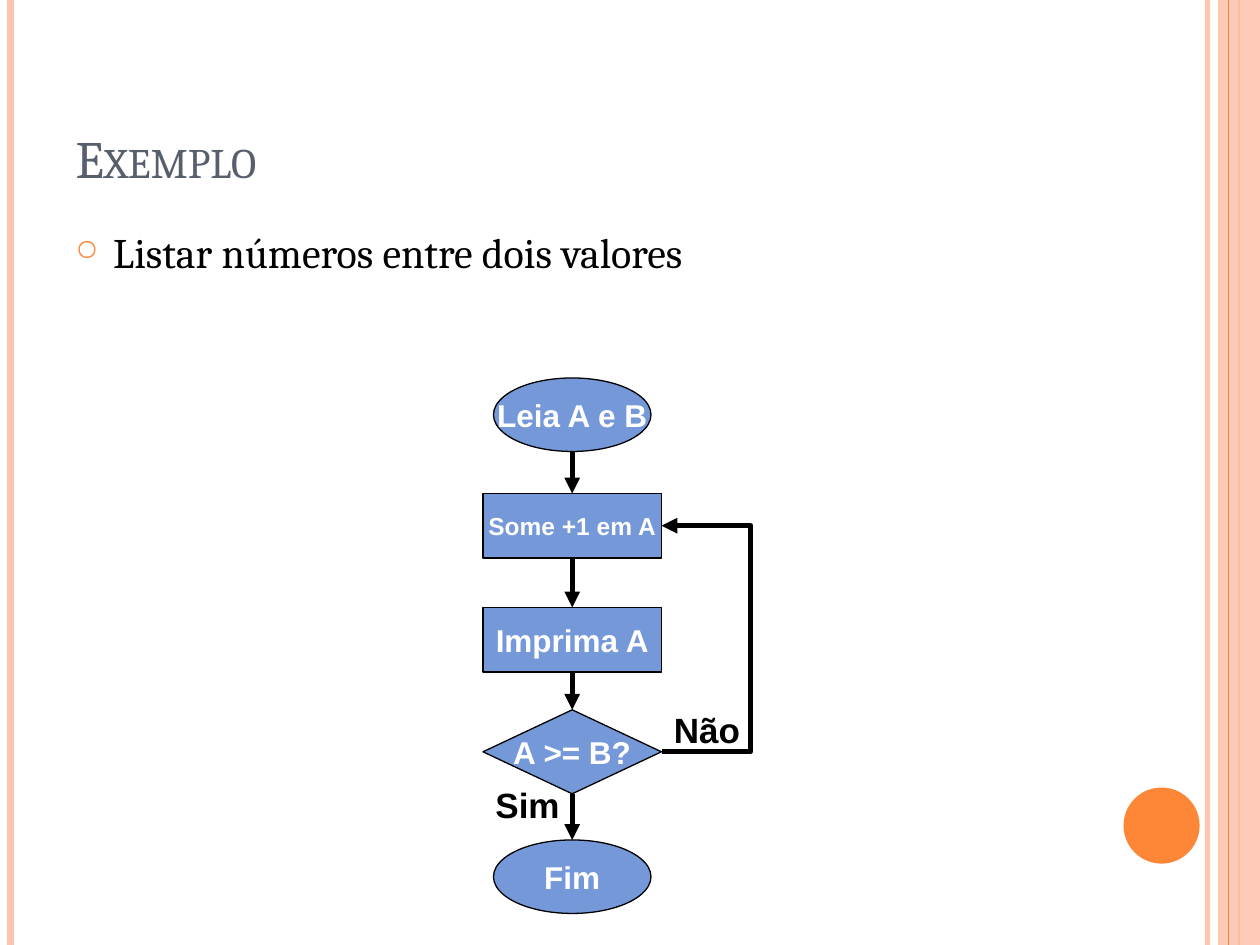
"""Build a slide with a flowchart that lists the numbers between two values."""
from itertools import pairwise

from lxml.etree import SubElement
from pptx import Presentation
from pptx.dml.color import RGBColor
from pptx.enum.shapes import MSO_CONNECTOR, MSO_SHAPE
from pptx.enum.text import MSO_ANCHOR, MSO_AUTO_SIZE, PP_ALIGN
from pptx.oxml.ns import qn
from pptx.util import Inches, Pt

BLACK = RGBColor(0x00, 0x00, 0x00)
WHITE = RGBColor(0xFF, 0xFF, 0xFF)
BLUE = RGBColor(0x75, 0x98, 0xD9)
ORANGE = RGBColor(0xFE, 0x86, 0x37)
PEACH = RGBColor(0xFE, 0xC3, 0xAE)
SLATE = RGBColor(0x57, 0x5F, 0x6D)

COLUMNS, ROWS = 120, 90
CELL = Inches(10) // COLUMNS
CENTER = 54.5


def cells(*counts):
    """Turn counts of grid cells into lengths."""
    return [round(count * CELL) for count in counts]


def set_opacity(fill_owner, percent):
    """Make the solid colour inside a shape or line element translucent."""
    color = fill_owner.find(qn("a:solidFill")).find(qn("a:srgbClr"))
    SubElement(color, qn("a:alpha"), val=str(percent * 1000))


def format_run(paragraph, font_name, size, color, bold=False):
    """Format the single run of a paragraph and return its font."""
    font = paragraph.runs[0].font
    font.name, font.size, font.bold = font_name, Pt(size), bold
    font.color.rgb = color
    return font


def add_line(slide, begin, end, color, width):
    """Draw a straight line between two grid points."""
    line = slide.shapes.add_connector(MSO_CONNECTOR.STRAIGHT, *cells(*begin, *end))
    line.line.color.rgb = color
    line.line.width = Pt(width)
    SubElement(line._element.spPr, qn("a:effectLst"))
    return line


def add_arrowhead(shape):
    """Put a triangle at the end of a line."""
    SubElement(shape.line._get_or_add_ln(), qn("a:tailEnd"), type="triangle")


def add_plain_shape(slide, preset, box, color):
    """Draw a filled shape without outline or shadow."""
    shape = slide.shapes.add_shape(preset, *cells(*box))
    shape.shadow.inherit = False
    shape.fill.solid()
    shape.fill.fore_color.rgb = color
    shape.line.fill.background()
    return shape


def add_step(slide, preset, top, width, height, text, size=18):
    """Draw a flowchart step centred on the flow axis."""
    step = add_plain_shape(slide, preset, (CENTER - width / 2, top, width, height), BLUE)
    step.line.color.rgb = BLACK
    step.line.width = Pt(0.75)
    frame = step.text_frame
    frame.text = text
    frame.word_wrap = False
    frame.vertical_anchor = MSO_ANCHOR.MIDDLE
    frame.paragraphs[0].alignment = PP_ALIGN.CENTER
    format_run(frame.paragraphs[0], "Arial", size, WHITE, bold=True)
    return step


def join_steps(slide, upper, lower):
    """Draw an arrow from the bottom of one step to the top of the next."""
    begin = (CENTER, (upper.top + upper.height) / CELL)
    arrow = add_line(slide, begin, (CENTER, lower.top / CELL), BLACK, 3)
    if upper.auto_shape_type != MSO_SHAPE.OVAL:
        arrow.begin_connect(upper, 2)
    arrow.end_connect(lower, 0)
    add_arrowhead(arrow)


def add_return_arrow(slide, decision, target, turn):
    """Draw the loop from the decision back to an earlier step."""
    right = target.left + target.width
    low, high = (step.top + step.height // 2 for step in (decision, target))
    turn = cells(turn)[0]
    builder = slide.shapes.build_freeform(right, low)
    builder.add_line_segments([(turn, low), (turn, high), (right, high)], close=False)
    loop = builder.convert_to_shape()
    loop.shadow.inherit = False
    loop.fill.background()
    loop.line.color.rgb = BLACK
    loop.line.width = Pt(3)
    add_arrowhead(loop)


def add_text(slide, box, text, font_name, size, bold=False):
    """Add a wrapped text box and return its paragraph."""
    frame = slide.shapes.add_textbox(*cells(*box)).text_frame
    frame.word_wrap = True
    frame.text = text
    format_run(frame.paragraphs[0], font_name, size, BLACK, bold)
    return frame.paragraphs[0]


def add_bullet(paragraph):
    """Give a paragraph a hanging orange ring as its bullet."""
    paragraph.space_before = Pt(6)
    properties = paragraph._p.get_or_add_pPr()
    properties.set("marL", str(Inches(0.3)))
    properties.set("indent", str(Inches(-0.3)))
    SubElement(SubElement(properties, qn("a:buClr")), qn("a:srgbClr"), val=str(ORANGE))
    SubElement(properties, qn("a:buSzPct"), val="70000")
    SubElement(properties, qn("a:buChar"), char="○")


def add_decoration(slide):
    """Draw the stripes along both edges and the orange disc."""
    stripe = add_line(slide, (115, 0), (115, ROWS), PEACH, 3)
    set_opacity(stripe.line._get_or_add_ln(), 93)
    add_line(slide, (1, 0), (1, ROWS), PEACH, 4.5)
    add_line(slide, (118, 0), (118, ROWS), ORANGE, 1.5)
    band = add_plain_shape(slide, MSO_SHAPE.RECTANGLE, (116, 0, 4, ROWS), PEACH)
    set_opacity(band._element.spPr, 87)
    add_line(slide, (117, 0), (117, ROWS), ORANGE, 0.75)
    add_plain_shape(slide, MSO_SHAPE.OVAL, (107, 75, 7.25, 7.25), ORANGE)


def set_title(slide, text):
    """Place the title and set it in small capitals."""
    title = slide.shapes.title
    title.left, title.top, title.width, title.height = cells(6, 3.6, 98, 15)
    frame = title.text_frame
    frame.text = text
    frame.auto_size = MSO_AUTO_SIZE.NONE
    frame.vertical_anchor = MSO_ANCHOR.BOTTOM
    frame.paragraphs[0].alignment = PP_ALIGN.LEFT
    font = format_run(frame.paragraphs[0], "Cambria", 30, SLATE)
    font._element.set("cap", "small")


def add_flowchart(slide):
    """Draw the steps, their arrows and the labels of the decision."""
    start = add_step(slide, MSO_SHAPE.OVAL, 36, 15, 7, "Leia A e B")
    add_one = add_step(slide, MSO_SHAPE.RECTANGLE, 47, 17, 6.15, "Some +1 em A", 14)
    show = add_step(slide, MSO_SHAPE.RECTANGLE, 57.85, 17, 6.15, "Imprima A")
    decision = add_step(slide, MSO_SHAPE.FLOWCHART_DECISION, 67.6, 17, 8, "A >= B?")
    finish = add_step(slide, MSO_SHAPE.OVAL, 80, 15, 7, "Fim")
    for upper, lower in pairwise((start, add_one, show, decision, finish)):
        join_steps(slide, upper, lower)
    add_return_arrow(slide, decision, add_one, 71.5)
    add_text(slide, (46, 74, 20, 5.2), "Sim", "Arial", 20, bold=True)
    add_text(slide, (63, 66.85, 20, 5.2), "Não", "Arial", 20, bold=True)


def main():
    """Build and save the slide."""
    presentation = Presentation()
    presentation.slide_width, presentation.slide_height = cells(COLUMNS, ROWS)
    slide = presentation.slides.add_slide(presentation.slide_layouts[5])
    add_decoration(slide)
    set_title(slide, "Exemplo")
    body = (6, 21, 98, 64)
    add_bullet(add_text(slide, body, "Listar números entre dois valores", "Cambria", 24))
    add_flowchart(slide)
    presentation.save("out.pptx")


if __name__ == "__main__":
    main()
